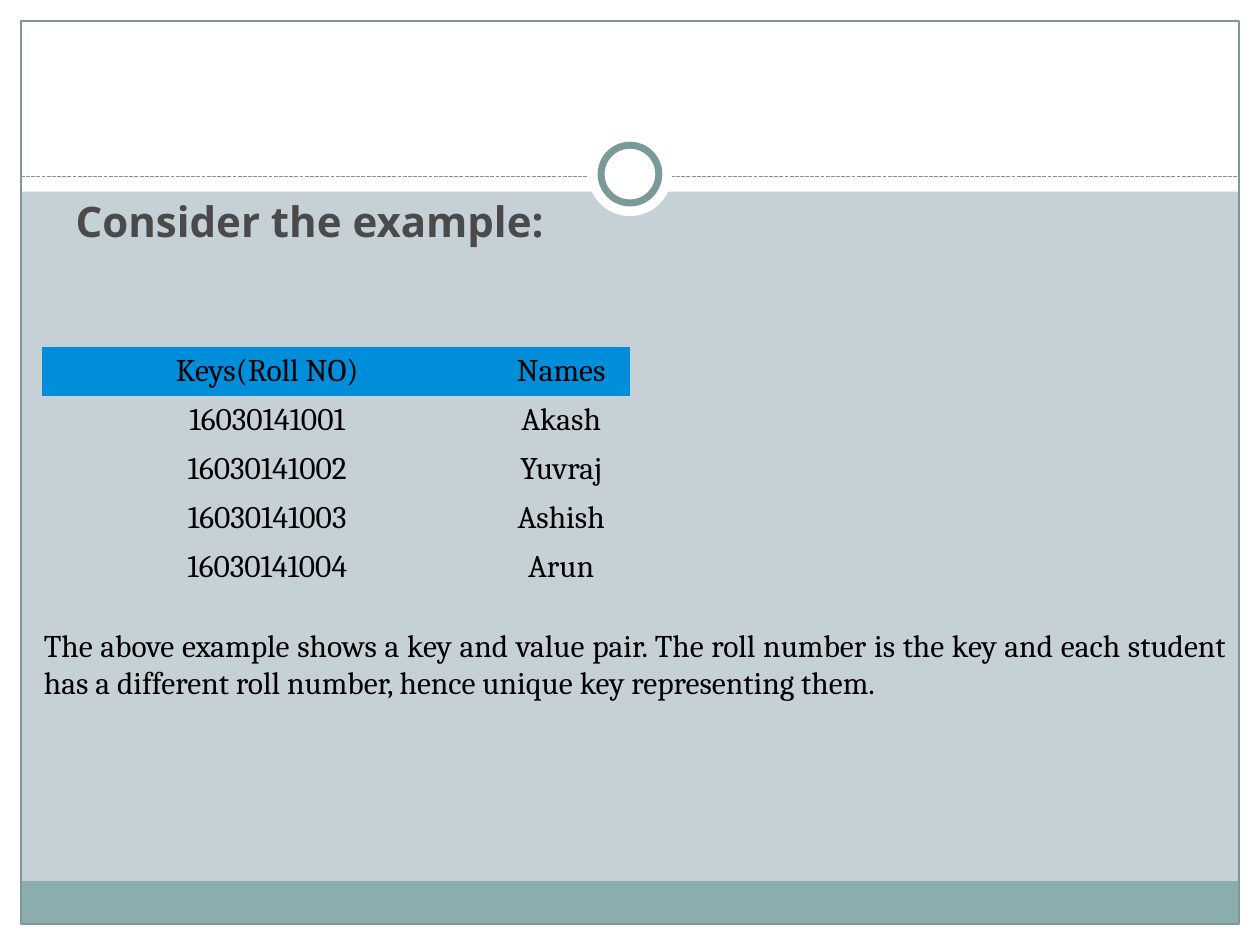
from dataclasses import dataclass
from typing import NamedTuple, Optional

from lxml import etree
from pptx import Presentation
from pptx.dml.color import RGBColor
from pptx.enum.dml import MSO_LINE
from pptx.enum.shapes import MSO_CONNECTOR, MSO_SHAPE
from pptx.enum.text import MSO_ANCHOR, PP_ALIGN
from pptx.oxml.ns import qn
from pptx.util import Pt

RECT = MSO_SHAPE.RECTANGLE
OVAL = MSO_SHAPE.OVAL
STRAIGHT = MSO_CONNECTOR.STRAIGHT
SYS_DASH = MSO_LINE.SQUARE_DOT
TOP, MIDDLE = MSO_ANCHOR.TOP, MSO_ANCHOR.MIDDLE
LEFT, CENTER, JUSTIFY = PP_ALIGN.LEFT, PP_ALIGN.CENTER, PP_ALIGN.JUSTIFY
PLAIN_TABLE_STYLE = "{2D5ABB26-0587-4C30-8999-92F81FD0307C}"
WIDTH, HEIGHT, MARGIN = 720, 540, 12


@dataclass(frozen=True)
class Theme:
    background: str = "C5D1D7"
    white: str = "FFFFFF"
    footer: str = "8CADAE"
    outline: str = "7C999A"
    header: str = "008DD9"
    title: str = "4A4A4A"
    text: str = "000000"
    title_font: str = "Open Sans"
    body_font: str = "Cambria"
    title_size: float = 24
    body_size: float = 18


class Box(NamedTuple):
    x: float
    y: float
    w: float
    h: float


@dataclass(frozen=True)
class Decor:
    shape: MSO_SHAPE
    box: Box
    fill: Optional[str] = None
    line: Optional[str] = None
    weight: float = 0.75


THEME = Theme()
DECOR = [
    Decor(RECT, Box(0, HEIGHT - MARGIN, WIDTH, MARGIN), THEME.white),
    Decor(RECT, Box(0, 0, WIDTH, 109.5), THEME.white),
    Decor(RECT, Box(0, 0, MARGIN, HEIGHT), THEME.white),
    Decor(RECT, Box(WIDTH - MARGIN, 0, MARGIN, HEIGHT), THEME.white),
    Decor(RECT, Box(MARGIN, 503.5, WIDTH - 2 * MARGIN, 24.5), THEME.footer),
    Decor(RECT, Box(MARGIN, MARGIN, WIDTH - 2 * MARGIN, HEIGHT - 2 * MARGIN),
          line=THEME.outline),
]
RING = [
    Decor(OVAL, Box(336, 75.5, 48, 48), THEME.white),
    Decor(OVAL, Box(343.5, 83, 33, 33), THEME.white, THEME.outline, 4),
]
STUDENTS = [
    ("Keys(Roll NO)", "Names"),
    ("16030141001", "Akash"),
    ("16030141002", "Yuvraj"),
    ("16030141003", "Ashish"),
    ("16030141004", "Arun"),
]
COLUMN_WIDTHS = (261, 75)
ROW_HEIGHT = 28


def color(value: str) -> RGBColor:
    return RGBColor.from_string(value)


def place(sp, box: Box) -> None:
    sp.left, sp.top, sp.width, sp.height = map(Pt, box)


def write(tf, text: str, align, font: str, size: float, ink: str,
          bold: bool = False) -> None:
    p = tf.paragraphs[0]
    p.alignment = align
    r = p.add_run()
    r.text = text
    r.font.name = font
    r.font.size = Pt(size)
    r.font.bold = bold
    r.font.color.rgb = color(ink)


def write_body(tf, text: str, align) -> None:
    write(tf, text, align, THEME.body_font, THEME.body_size, THEME.text)


def add_decor(s, item: Decor) -> None:
    sp = s.shapes.add_shape(item.shape, *map(Pt, item.box))
    sp.shadow.inherit = False
    if item.fill:
        sp.fill.solid()
        sp.fill.fore_color.rgb = color(item.fill)
    else:
        sp.fill.background()
    if item.line:
        sp.line.color.rgb = color(item.line)
        sp.line.width = Pt(item.weight)
    else:
        sp.line.fill.background()


def add_divider(s, y: float) -> None:
    line = s.shapes.add_connector(STRAIGHT, Pt(MARGIN), Pt(y), Pt(WIDTH - MARGIN), Pt(y))
    line.line.color.rgb = color(THEME.outline)
    line.line.width = Pt(0.75)
    line.line.dash_style = SYS_DASH
    etree.SubElement(line._element.spPr, qn("a:effectLst"))


def add_students(s, x: float, y: float) -> None:
    frame = s.shapes.add_table(len(STUDENTS), len(COLUMN_WIDTHS), Pt(x), Pt(y),
                               Pt(sum(COLUMN_WIDTHS)), Pt(ROW_HEIGHT * len(STUDENTS)))
    table = frame.table
    table.horz_banding = False
    next(frame._element.iter(qn("a:tableStyleId"))).text = PLAIN_TABLE_STYLE
    for column, width in zip(table.columns, COLUMN_WIDTHS):
        column.width = Pt(width)
    for i, row in enumerate(STUDENTS):
        for j, text in enumerate(row):
            cell = table.cell(i, j)
            cell.vertical_anchor = MIDDLE
            cell.margin_left = cell.margin_top = cell.margin_bottom = Pt(3.6)
            cell.margin_right = Pt(7.2)
            if i == 0:
                cell.fill.solid()
                cell.fill.fore_color.rgb = color(THEME.header)
            else:
                cell.fill.background()
            write_body(cell.text_frame, text, CENTER)


def add_title(s, text: str, box: Box) -> None:
    sp = s.shapes.title
    place(sp, box)
    tf = sp.text_frame
    tf.word_wrap = True
    tf.vertical_anchor = TOP
    write(tf, text, LEFT, THEME.title_font, THEME.title_size, THEME.title, True)


def add_note(s, text: str, box: Box) -> None:
    tf = s.shapes.add_textbox(*map(Pt, box)).text_frame
    tf.word_wrap = True
    write_body(tf, text, JUSTIFY)


def main() -> None:
    prs = Presentation()
    prs.slide_width, prs.slide_height = Pt(WIDTH), Pt(HEIGHT)
    s = prs.slides.add_slide(prs.slide_layouts[5])
    s.background.fill.solid()
    s.background.fill.fore_color.rgb = color(THEME.background)
    for item in DECOR:
        add_decor(s, item)
    add_divider(s, 100.8)
    for item in RING:
        add_decor(s, item)
    add_students(s, 24, 198)
    add_title(s, "Consider the example:", Box(36, 108, 324, 94))
    add_note(s, "The above example shows a key and value pair. The roll number is the key "
                "and each student has a different roll number, hence unique key "
                "representing them.", Box(18, 354, 690, 51))
    prs.save("out.pptx")


if __name__ == "__main__":
    main()
